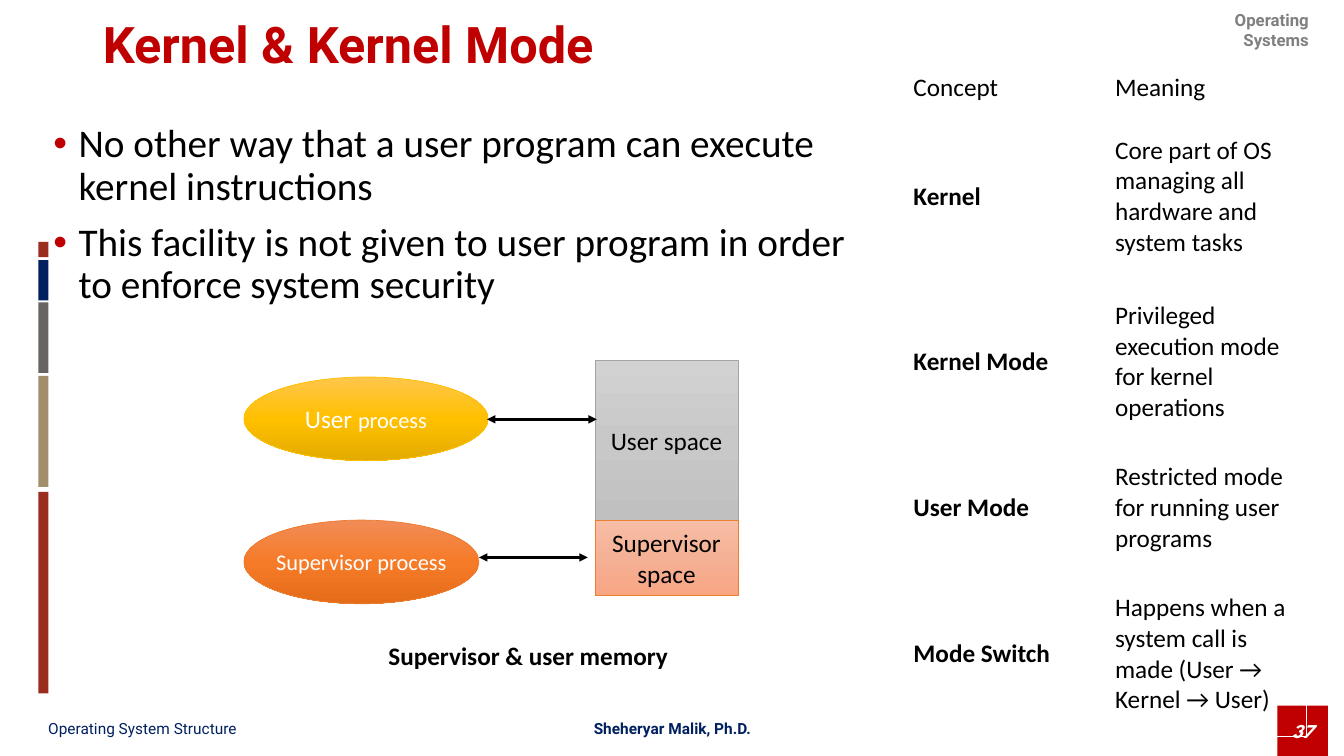
"""Build the slide on kernel, kernel mode and the memory spaces of processes."""
from copy import deepcopy

from lxml import etree
from pptx import Presentation
from pptx import util as u
from pptx.dml.color import RGBColor
from pptx.enum import shapes, text
from pptx.oxml import ns

BLACK = RGBColor(0x00, 0x00, 0x00)
WHITE = RGBColor(0xFF, 0xFF, 0xFF)
RED = RGBColor(0xC0, 0x00, 0x00)
NAVY = RGBColor(0x00, 0x20, 0x60)
GRAY = RGBColor(0x80, 0x80, 0x80)
BRICK = RGBColor(0x9B, 0x2D, 0x1F)
SAND = RGBColor(0xA2, 0x8E, 0x6A)
SLATE = RGBColor(0x69, 0x64, 0x64)
SILVER = RGBColor(0xA5, 0xA5, 0xA5)
GOLD = RGBColor(0xFF, 0xC0, 0x00)
ORANGE = RGBColor(0xED, 0x7D, 0x31)
SILVER_SHADES = (RGBColor(0xD2, 0xD2, 0xD2), RGBColor(0xC8, 0xC8, 0xC8), RGBColor(0xC0, 0xC0, 0xC0))
PEACH_SHADES = (RGBColor(0xF7, 0xBD, 0xA5), RGBColor(0xF5, 0xB1, 0x96), RGBColor(0xF8, 0xA5, 0x82))
GOLD_SHADES = (RGBColor(0xFF, 0xC6, 0x4B), GOLD, RGBColor(0xE3, 0xAB, 0x00))
ORANGE_SHADES = (RGBColor(0xF1, 0x8C, 0x57), RGBColor(0xF6, 0x7B, 0x28), RGBColor(0xE5, 0x6C, 0x19))

LEFT, CENTER, RIGHT = text.PP_ALIGN.LEFT, text.PP_ALIGN.CENTER, text.PP_ALIGN.RIGHT
TOP, MIDDLE = text.MSO_ANCHOR.TOP, text.MSO_ANCHOR.MIDDLE
RECT, OVAL = shapes.MSO_SHAPE.RECTANGLE, shapes.MSO_SHAPE.OVAL


class Deck:
    body_font = {"name": "Calibri", "size": u.Pt(18), "bold": False}
    footer_font = {"name": "Roboto", "size": u.Pt(11)}

    def __init__(self):
        self.prs = Presentation()
        self.prs.slide_width = u.Inches(13.33)
        self.prs.slide_height = u.Inches(7.5)
        self.slide = self.prs.slides.add_slide(self.prs.slide_layouts[1])

    def box(self, *lengths):
        return [u.Inches(length) for length in lengths]

    def place(self, shape, *at):
        for side, length in zip(("left", "top", "width", "height"), self.box(*at)):
            setattr(shape, side, length)

    def add_words(self, paragraph, words, color=BLACK, **fmt):
        run = paragraph.add_run()
        run.text = words
        for attribute, value in {**self.body_font, **fmt}.items():
            setattr(run.font, attribute, value)
        run.font.color.rgb = color

    def add_lines(self, frame, lines, color=BLACK, align=LEFT, anchor=TOP, wrap=True, **fmt):
        frame.word_wrap = wrap
        frame.vertical_anchor = anchor
        for number, line in enumerate(lines):
            paragraph = frame.add_paragraph() if number else frame.paragraphs[0]
            paragraph.alignment = align
            self.add_words(paragraph, line, color, **fmt)

    def title(self, words, at):
        title = self.slide.shapes.title
        self.place(title, *at)
        self.add_lines(title.text_frame, [words], RED, anchor=MIDDLE,
                       name="Roboto", size=u.Pt(36), bold=True)
        title.text_frame.paragraphs[0].line_spacing = 0.9

    def bullets(self, lines, at):
        body = self.slide.placeholders[1]
        self.place(body, *at)
        frame = body.text_frame
        frame.auto_size = text.MSO_AUTO_SIZE.NONE
        self.add_lines(frame, lines, size=u.Pt(28))
        for number, paragraph in enumerate(frame.paragraphs):
            props = paragraph._p.get_or_add_pPr()
            props.set("marL", str(u.Inches(0.25)))
            props.set("indent", str(u.Inches(-0.25)))
            bullet_color = etree.SubElement(props, ns.qn("a:buClr"))
            etree.SubElement(bullet_color, ns.qn("a:srgbClr"), val=str(RED))
            etree.SubElement(props, ns.qn("a:buChar"), char="•")
            paragraph.line_spacing = 0.9
            paragraph.space_before = u.Pt(10 if number else 0)

    def label(self, words, at, **fmt):
        label = self.slide.shapes.add_textbox(*self.box(*at))
        self.add_lines(label.text_frame, [words], **fmt)

    def block(self, at, color):
        block = self.slide.shapes.add_shape(RECT, *self.box(*at))
        block.shadow.inherit = False
        block.fill.solid()
        block.fill.fore_color.rgb = color
        block.line.fill.background()
        return block

    def node(self, kind, at, shades, outline, lines, **fmt):
        node = self.slide.shapes.add_shape(kind, *self.box(*at))
        node.shadow.inherit = False
        node.fill.gradient()
        node.fill.gradient_angle = 270
        stop_list = node._element.spPr.find(".//" + ns.qn("a:gsLst"))
        stop_list.append(deepcopy(stop_list[-1]))
        for stop, position, shade in zip(node.fill.gradient_stops, (0, 0.5, 1), shades):
            stop.position = position
            stop.color.rgb = shade
        node.line.color.rgb = outline
        node.line.width = u.Pt(0.5)
        self.add_lines(node.text_frame, lines, align=CENTER, anchor=MIDDLE, wrap=False, **fmt)
        return node

    def arrow(self, left, right, y):
        arrow = self.slide.shapes.add_connector(
            shapes.MSO_CONNECTOR.STRAIGHT, *self.box(left, y, right, y))
        arrow.line.color.rgb = BLACK
        arrow.line.width = u.Pt(2)
        props = arrow._element.spPr
        for end in ("a:headEnd", "a:tailEnd"):
            etree.SubElement(props.find(ns.qn("a:ln")), ns.qn(end), type="triangle")
        etree.SubElement(props, ns.qn("a:effectLst"))

    def table(self, rows, at, heights):
        table = self.slide.shapes.add_table(len(rows), 2, *self.box(*at)).table
        table.first_row = table.horz_banding = False
        for row, height in zip(table.rows, heights):
            row.height = u.Inches(height)
        for r, row in enumerate(rows):
            for c, words in enumerate(row):
                cell = table.cell(r, c)
                cell.fill.background()
                cell.vertical_anchor = MIDDLE
                self.add_words(cell.text_frame.paragraphs[0], words, bold=r > 0 and c == 0)


def main():
    deck = Deck()
    deck.label("Operating Systems", (11.55, 0.05, 1.53, 0.3), color=GRAY, align=RIGHT,
               name="Roboto", size=u.Pt(12), bold=True)
    page_number = deck.block((12.67, 7, 0.5, 0.5), RED)
    deck.add_lines(page_number.text_frame, ["37"], WHITE, CENTER, MIDDLE, False,
                   name="League Spartan", size=u.Pt(14), bold=True, italic=True)
    footer = {"color": NAVY, "anchor": MIDDLE, **deck.footer_font}
    deck.label("Operating System Structure", (0.38, 7.06, 4.4, 0.33), **footer)
    deck.label("Sheheryar Malik, Ph.D.", (4.47, 7.06, 4.4, 0.33), align=CENTER, bold=True, **footer)
    for top, height, color in ((4.88, 2, BRICK), (3.73, 1.1, SAND), (3, 0.7, SLATE),
                               (2.4, 0.15, BRICK), (2.58, 0.4, NAVY)):
        deck.block((0.38, top, 0.1, height), color)

    deck.title("Kernel & Kernel Mode", (0.92, 0.05, 5.93, 0.83))
    deck.bullets([
        "No other way that a user program can execute kernel instructions",
        "This facility is not given to user program in order to enforce system security",
    ], (0.43, 1.18, 8.25, 5.4))

    deck.node(RECT, (5.9, 3.58, 1.42, 1.58), SILVER_SHADES, SILVER, ["User space"])
    deck.node(RECT, (5.9, 5.16, 1.42, 0.75), PEACH_SHADES, ORANGE, ["Supervisor", "space"])
    user_process = deck.node(OVAL, (2.42, 3.74, 2.42, 0.83), GOLD_SHADES, GOLD, ["User "], color=WHITE)
    deck.add_words(user_process.text_frame.paragraphs[0], "process", WHITE, size=u.Pt(16))
    deck.node(OVAL, (2.42, 5.16, 2.33, 0.83), ORANGE_SHADES, ORANGE, ["Supervisor process"],
              color=WHITE, size=u.Pt(16))
    deck.arrow(4.83, 5.92, 4.16)
    deck.arrow(4.75, 5.83, 5.53)
    deck.label("Supervisor & user memory", (3.45, 6.3, 3.58, 0.4), align=CENTER, bold=True)

    deck.table([
        ("Concept", "Meaning"),
        ("Kernel", "Core part of OS managing all hardware and system tasks"),
        ("Kernel Mode", "Privileged execution mode for kernel operations"),
        ("User Mode", "Restricted mode for running user programs"),
        ("Mode Switch", "Happens when a system call is made (User → Kernel → User)"),
    ], (8.96, 0.62, 4, 6.69), (0.51, 1.64, 1.64, 1.26, 1.64))
    deck.prs.save("out.pptx")


if __name__ == "__main__":
    main()
